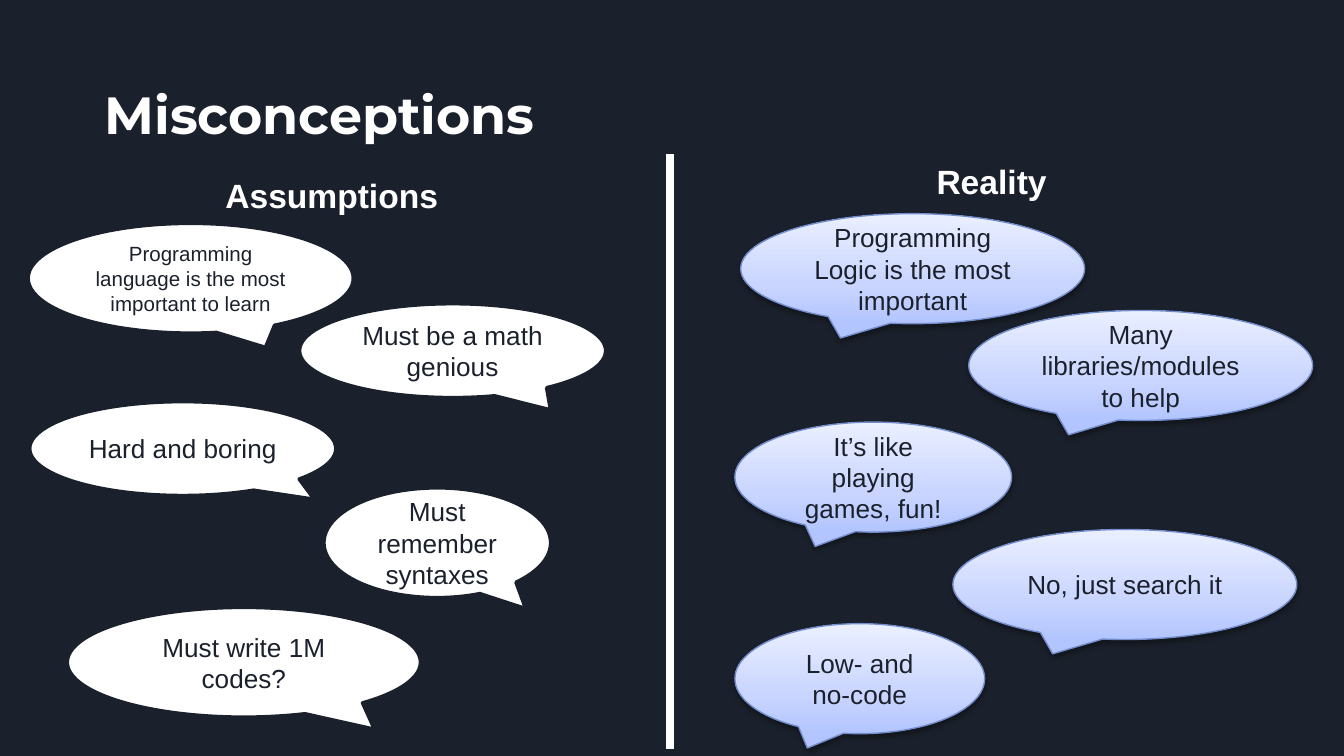
from copy import deepcopy

from lxml import etree
from pptx import Presentation
from pptx import util as u
from pptx.dml.color import RGBColor
from pptx.enum import shapes, text
from pptx.oxml.ns import qn

NAVY = RGBColor(0x1B, 0x21, 0x2C)
WHITE = RGBColor(0xFF, 0xFF, 0xFF)
EDGE = RGBColor(0x73, 0x8C, 0xCB)
BLACK = RGBColor(0, 0, 0)
BLUES = [
    (0, RGBColor(0xB3, 0xC5, 0xFF)),
    (0.35, RGBColor(0xC9, 0xD5, 0xFF)),
    (1, RGBColor(0xEA, 0xEF, 0xFF)),
]

# Content: boxes are left, top, width, height in cm
HEADS = [
    ("Misconceptions", (1.73, 1.3, 22.25, 2.67), True,
     {"name": "Montserrat", "size": u.Pt(28)}),
    ("Assumptions", (4.01, 3.18, 4.57, 1.02), False,
     {"name": "Arial", "size": u.Pt(18)}),
    ("Reality", (17.45, 2.92, 2.62, 1.02), False,
     {"name": "Arial", "size": u.Pt(18)}),
]
MYTHS = [  # words, box, tail tip, text size
    ("Programming language is the most important to learn",
     (0.53, 4.22, 6.15, 2.08), (0.23, 0.63), 11),
    ("Hard and boring", (0.56, 7.59, 5.79, 1.78), (0.43, 0.54), 14),
    ("Must write 1M codes?", (1.27, 11.48, 6.68, 2.08), (0.37, 0.61), 14),
    ("Must remember syntaxes", (6.12, 9.22, 4.29, 2.08), (0.39, 0.6), 14),
    ("Must be a math genious", (5.66, 5.74, 5.79, 1.78), (0.32, 0.63), 14),
]
TALL, TIP = 2.08, (-0.21, 0.63)
FACTS = [  # words, left, top, width
    ("It’s like playing games, fun!", 13.89, 7.98, 5.23),
    ("Many libraries/modules to help", 18.31, 5.87, 6.5),
    ("Programming Logic is the most important", 14, 4.04, 6.5),
    ("Low- and no-code", 13.89, 11.79, 4.72),
    ("No, just search it", 18.01, 10.01, 6.5),
]
SPLIT = (12.67, 2.92, 12.67, 14.15)


def cms(box):
    return [u.Cm(n) for n in box]


def style(font, color, **vals):
    for key, val in vals.items():
        setattr(font, key, val)
    font.color.rgb = color


def bubble(slide, words, box, tip, size):
    shape = slide.shapes.add_shape(
        shapes.MSO_SHAPE.OVAL_CALLOUT, *cms(box))
    for i, val in enumerate(tip):
        shape.adjustments[i] = val
    shape.shadow.inherit = False
    frame = shape.text_frame
    frame.word_wrap = True
    frame.vertical_anchor = text.MSO_ANCHOR.MIDDLE
    para = frame.paragraphs[0]
    para.text = words
    para.alignment = text.PP_ALIGN.CENTER
    style(para.font, NAVY, name="Arial", size=u.Pt(size))
    return shape


def edge(shape, color, width):
    shape.line.color.rgb = color
    shape.line.width = u.Pt(width)


def blend(shape):
    shape.fill.gradient()
    shape.fill.gradient_angle = 90
    stops = shape._element.spPr.find(".//" + qn("a:gsLst"))
    stops.append(deepcopy(stops[-1]))
    for stop, (pos, color) in zip(shape.fill.gradient_stops, BLUES):
        stop.position = pos
        stop.color.rgb = color


def shade(shape):
    effects = shape._element.spPr.find(qn("a:effectLst"))
    drop = etree.SubElement(
        effects, qn("a:outerShdw"), blurRad=str(u.Pt(3.1)),
        dist=str(u.Pt(1.6)), dir="5400000", rotWithShape="0")
    tint = etree.SubElement(drop, qn("a:srgbClr"), val=str(BLACK))
    etree.SubElement(tint, qn("a:alpha"), val="38000")


def main():
    deck = Presentation()
    deck.slide_width, deck.slide_height = u.Cm(25.4), u.Cm(14.29)
    slide = deck.slides.add_slide(deck.slide_layouts[6])
    slide.background.fill.solid()
    slide.background.fill.fore_color.rgb = NAVY

    # Title and column heads
    for words, box, wrap, vals in HEADS:
        frame = slide.shapes.add_textbox(*cms(box)).text_frame
        frame.word_wrap = wrap
        if wrap:
            frame.margin_top = frame.margin_bottom = u.Cm(0.25)
        else:
            frame.auto_size = text.MSO_AUTO_SIZE.SHAPE_TO_FIT_TEXT
        para = frame.paragraphs[0]
        para.text = words
        style(para.font, WHITE, bold=True, **vals)

    # Assumptions
    for myth in MYTHS:
        shape = bubble(slide, *myth)
        shape.fill.solid()
        shape.fill.fore_color.rgb = WHITE
        edge(shape, NAVY, 2)

    # Reality
    for words, left, top, width in FACTS:
        shape = bubble(slide, words, (left, top, width, TALL), TIP, 14)
        blend(shape)
        edge(shape, EDGE, 0.75)
        shade(shape)

    # Divider
    split = slide.shapes.add_connector(
        shapes.MSO_CONNECTOR.STRAIGHT, *cms(SPLIT))
    edge(split, WHITE, 4.25)
    etree.SubElement(split._element.spPr, qn("a:effectLst"))

    deck.save("out.pptx")


if __name__ == "__main__":
    main()
